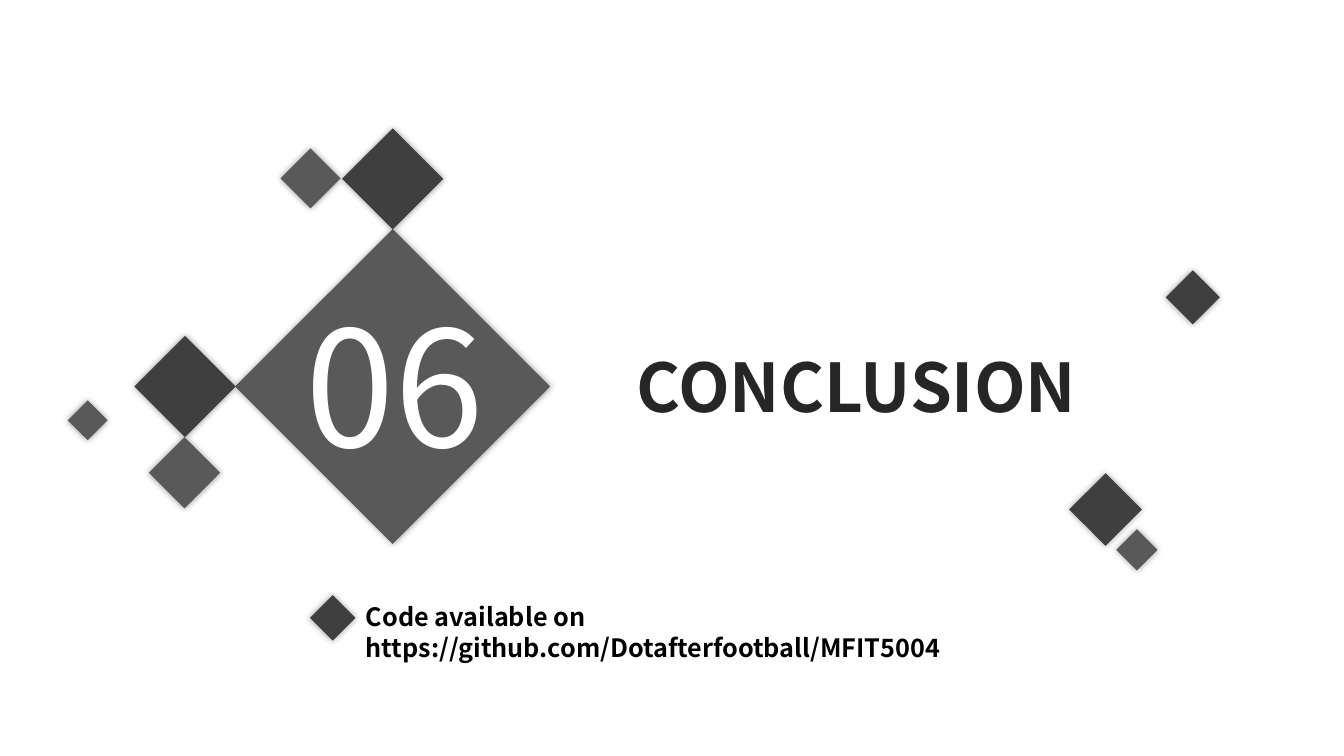
from lxml import etree
from pptx import Presentation
from pptx import util as u
from pptx.dml.color import RGBColor
from pptx.enum import shapes, text
from pptx.oxml import ns

PX = 9144
FONT = "Noto Sans CJK SC"
MID, DARK = "595959", "3F3F3F"
SECTION_DIAMONDS = [
    (279, 273, 221, MID),
    (354, 142, 71, DARK),
    (148, 348, 71, DARK),
    (158, 444, 50, MID),
    (287, 156, 42, MID),
    (73, 403, 28, MID),
]
CORNER_DIAMONDS = [
    (1071, 480, 51, DARK),
    (1113, 531, 29, MID),
    (1164, 276, 38, DARK),
]


def px(length):
    """Turn pixels into EMU."""
    return u.Emu(length * PX)


def colour(hex_value):
    """Turn a hex string into a colour."""
    return RGBColor.from_string(hex_value)


def apply(target, values):
    """Set each attribute of the target from a dict."""
    for name, value in values.items():
        setattr(target, name, value)


def add_glow(shape):
    """Give a shape a soft shadow on all sides."""
    effects = etree.SubElement(shape._element.spPr, ns.qn("a:effectLst"))
    shadow = etree.SubElement(effects, ns.qn("a:outerShdw"), blurRad="63500", dist="0",
                              algn="ctr", rotWithShape="0")
    black = etree.SubElement(shadow, ns.qn("a:srgbClr"), val="000000")
    etree.SubElement(black, ns.qn("a:alpha"), val="40000")


def add_diamonds(slide, diamonds):
    """Draw squares turned onto their corners."""
    for left, top, side, fill in diamonds:
        diamond = slide.shapes.add_shape(shapes.MSO_SHAPE.RECTANGLE,
                                         px(left), px(top), px(side), px(side))
        diamond.rotation = 45
        diamond.fill.solid()
        diamond.fill.fore_color.rgb = colour(fill)
        diamond.line.fill.background()
        add_glow(diamond)


def write(holder, box, wording, size, hex_value, align, bold=True, wrap=True):
    """Place a text holder in its box and fill it with one formatted paragraph."""
    apply(holder, dict(zip(("left", "top", "width", "height"), map(px, box))))
    frame = holder.text_frame
    apply(frame, {
        "text": wording,
        "word_wrap": wrap,
        "auto_size": text.MSO_AUTO_SIZE.NONE,
        "vertical_anchor": text.MSO_ANCHOR.TOP,
    })
    paragraph = frame.paragraphs[0]
    apply(paragraph, {"alignment": align, "line_spacing": 1.0, "space_before": u.Pt(0)})
    font = paragraph.runs[0].font
    apply(font, {"name": FONT, "size": u.Pt(size), "bold": bold})
    font.color.rgb = colour(hex_value)


def add_section_number(slide, box):
    """Draw the diamond cluster and the section number in its box."""
    add_diamonds(slide, SECTION_DIAMONDS)
    number = slide.shapes.add_textbox(0, 0, 0, 0)
    write(number, box, "06", 115, "FFFFFF", text.PP_ALIGN.CENTER, bold=False, wrap=False)


def add_heading(slide, box):
    """Place the section title beside the corner diamonds."""
    add_diamonds(slide, CORNER_DIAMONDS)
    write(slide.shapes.title, box, "CONCLUSION", 48, "262626", text.PP_ALIGN.CENTER)


def add_code_link(slide, box):
    """Place the repository link with its diamond marker."""
    left, top, _, _ = box
    add_diamonds(slide, [(left - 39, top + 5, 32, DARK)])
    link = slide.shapes.add_textbox(0, 0, 0, 0)
    write(link, box, "Code available on https://github.com/Dotafterfootball/MFIT5004",
          18, "000000", text.PP_ALIGN.LEFT)


def main():
    """Build the closing section slide."""
    deck = Presentation()
    apply(deck, {"slide_width": px(1333), "slide_height": px(750)})
    slide = deck.slides.add_slide(deck.slide_layouts[5])
    slide.background.fill.solid()
    slide.background.fill.fore_color.rgb = colour("FFFFFF")
    add_section_number(slide, (270, 279, 243, 204))
    add_heading(slide, (599, 338, 501, 91))
    add_code_link(slide, (353, 592, 769, 40))
    deck.save("out.pptx")


if __name__ == "__main__":
    main()
